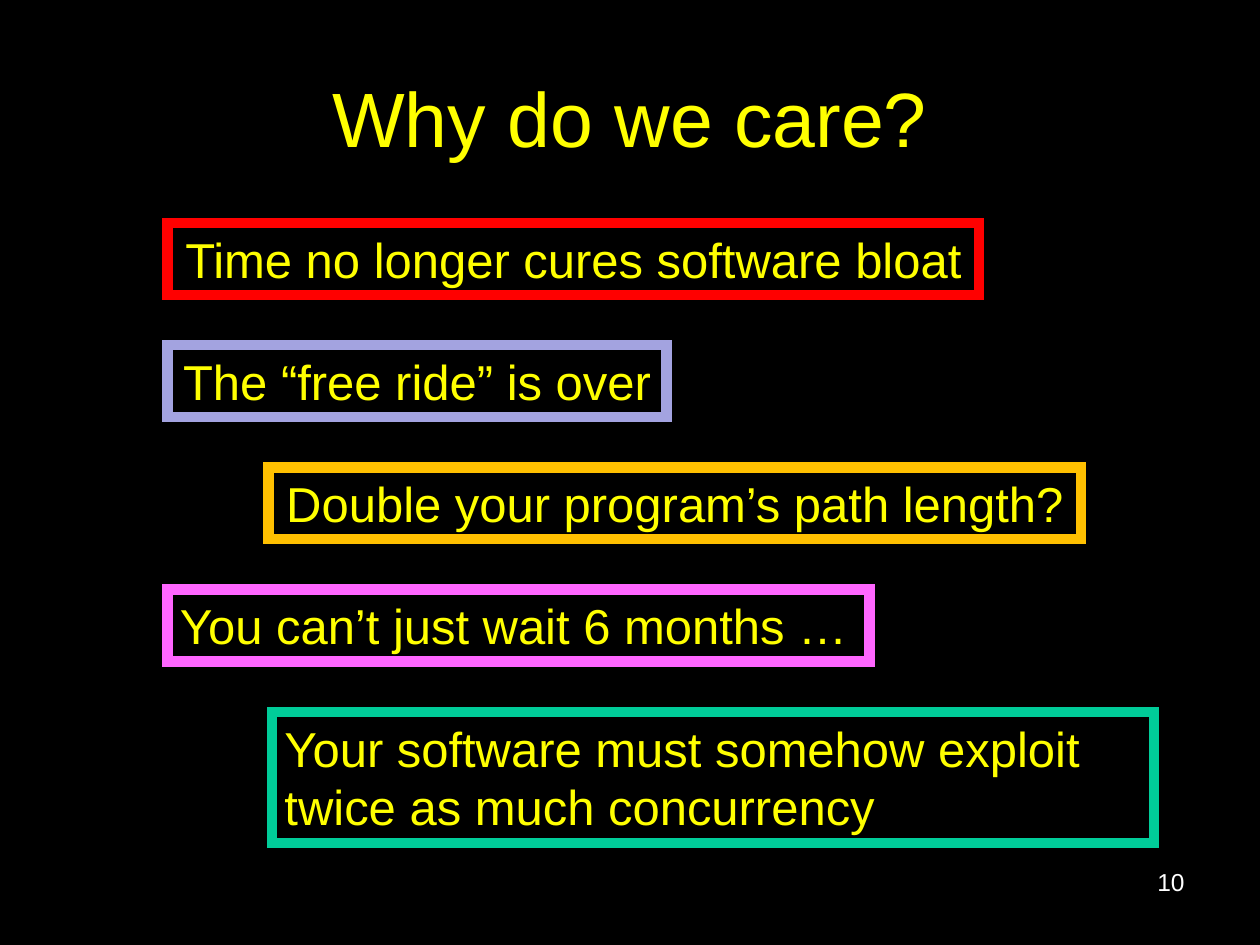
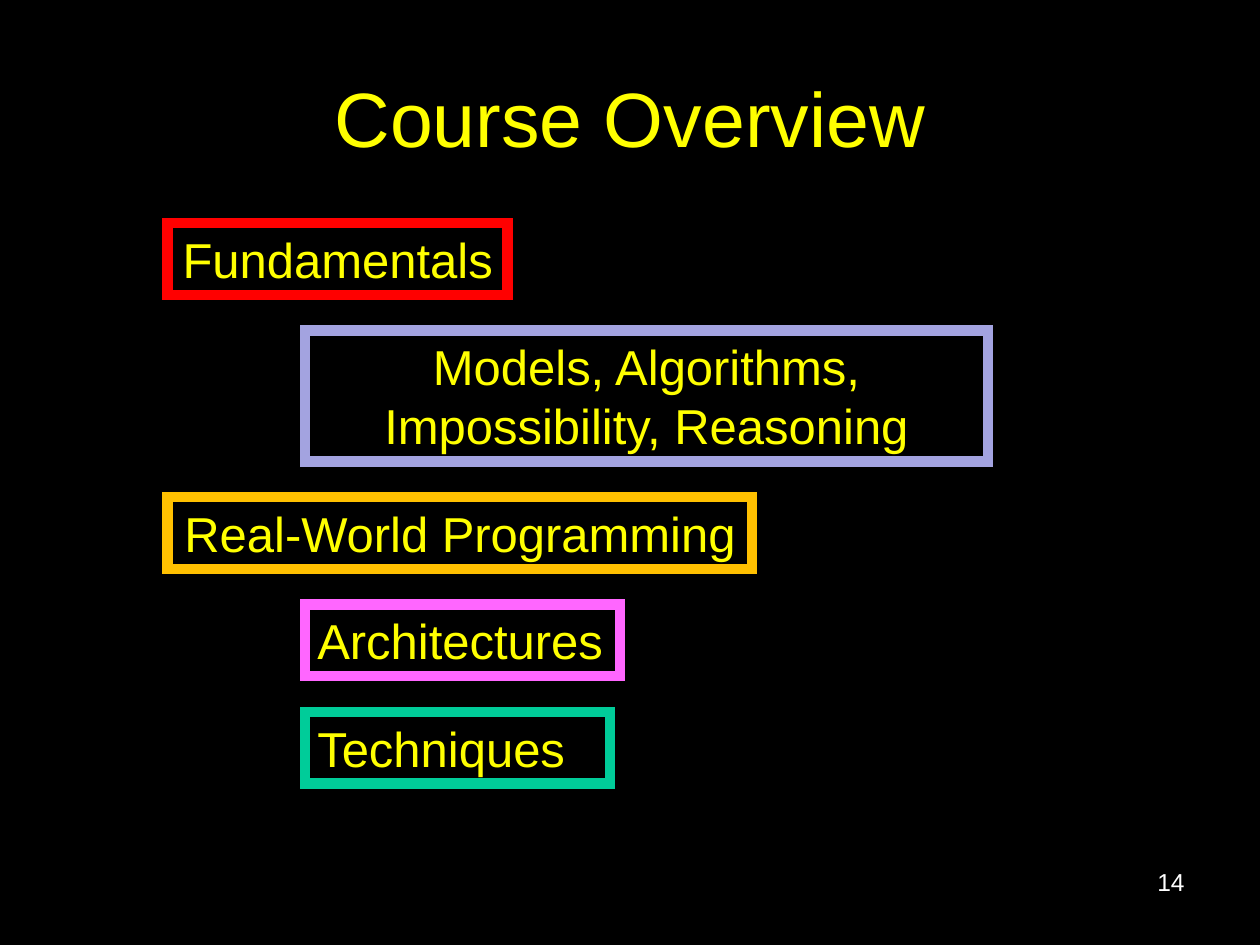
from lxml import etree
from pptx import Presentation, util as u
from pptx.dml.color import RGBColor
from pptx.enum import shapes, text
from pptx.oxml import ns

PX = 9144  # EMU per px, 100 px to the inch
FONT = "Arial"
COLORS = {
    "black": "000000", "yellow": "FFFF00", "white": "FFFFFF",
    "red": "FF0000", "lavender": "A3A3E0", "amber": "FFC000",
    "pink": "FF66FF", "green": "00CC99",
}
FRAMES = ["red", "lavender", "amber", "pink", "green"]
FIRST_TOP, LAST_TOP = 177, 565
LINE_HEIGHTS = {1: 57, 2: 104}
LEFT, CENTER, RIGHT = text.PP_ALIGN.LEFT, text.PP_ALIGN.CENTER, text.PP_ALIGN.RIGHT

# Each box: text, left, width, number of lines, alignment, wrap
WHY_CARE = [
    ("Time no longer cures software bloat", 133, 644, 1, CENTER, False),
    ("The “free ride” is over", 133, 396, 1, CENTER, False),
    ("Double your program’s path length?", 213, 645, 1, CENTER, False),
    ("You can’t just wait 6 months …", 133, 557, 1, LEFT, False),
    ("Your software must somehow exploit twice as much concurrency",
     216, 700, 2, LEFT, True),
]
OVERVIEW = [
    ("Fundamentals", 133, 270, 1, CENTER, False),
    ("Models, Algorithms, Impossibility, Reasoning", 242, 542, 2, CENTER, True),
    ("Real-World Programming", 133, 464, 1, CENTER, False),
    ("Architectures", 242, 250, 1, LEFT, False),
    ("Techniques", 242, 242, 1, LEFT, True),
]


def px(*lengths):
    return [u.Emu(round(n * PX)) for n in lengths]


def rgb(name):
    return RGBColor.from_string(COLORS[name])


def set_text(sp, words, size, color, align, anchor=text.MSO_ANCHOR.TOP, wrap=True):
    tf = sp.text_frame
    tf.word_wrap = wrap
    tf.vertical_anchor = anchor
    p = tf.paragraphs[0]
    p.text = words
    p.alignment = align
    p.font.name = FONT
    p.font.size = u.Pt(size)
    p.font.color.rgb = rgb(color)


def add_label(s, box, *style):
    set_text(s.shapes.add_textbox(*px(*box)), *style)


def add_frame(s, box, color, words, align, wrap):
    sp = s.shapes.add_shape(shapes.MSO_SHAPE.RECTANGLE, *px(*box))
    sp.shadow.inherit = False
    sp.fill.solid()
    sp.fill.fore_color.rgb = rgb("black")
    sp.line.color.rgb = rgb(color)
    sp.line.width = u.Pt(6)
    # Square corners
    ln = sp._element.spPr.find(ns.qn("a:ln"))
    etree.SubElement(ln, ns.qn("a:miter")).set("lim", "800000")
    set_text(sp, words, 28, "yellow", align, wrap=wrap)
    sp.text_frame.auto_size = text.MSO_AUTO_SIZE.SHAPE_TO_FIT_TEXT


def add_frames(s, boxes):
    # Equal gaps between the first and the last top
    heights = [LINE_HEIGHTS[lines] for _, _, _, lines, _, _ in boxes]
    gap = (LAST_TOP - FIRST_TOP - sum(heights[:-1])) / (len(boxes) - 1)
    top = FIRST_TOP
    for (words, left, width, _, align, wrap), height, color in zip(boxes, heights, FRAMES):
        add_frame(s, (left, top, width, height), color, words, align, wrap)
        top += height + gap


def add_slide(prs, title, number, boxes):
    s = prs.slides.add_slide(prs.slide_layouts[6])
    s.background.fill.solid()
    s.background.fill.fore_color.rgb = rgb("black")
    add_label(s, (50, 30, 900, 125), title, 44, "yellow", CENTER, text.MSO_ANCHOR.MIDDLE)
    add_label(s, (717, 683, 233, 52), number, 14, "white", RIGHT)
    add_frames(s, boxes)


def main():
    prs = Presentation()
    prs.slide_width, prs.slide_height = px(1000, 750)
    add_slide(prs, "Why do we care?", "10", WHY_CARE)
    add_slide(prs, "Course Overview", "14", OVERVIEW)
    prs.save("out.pptx")


if __name__ == "__main__":
    main()
